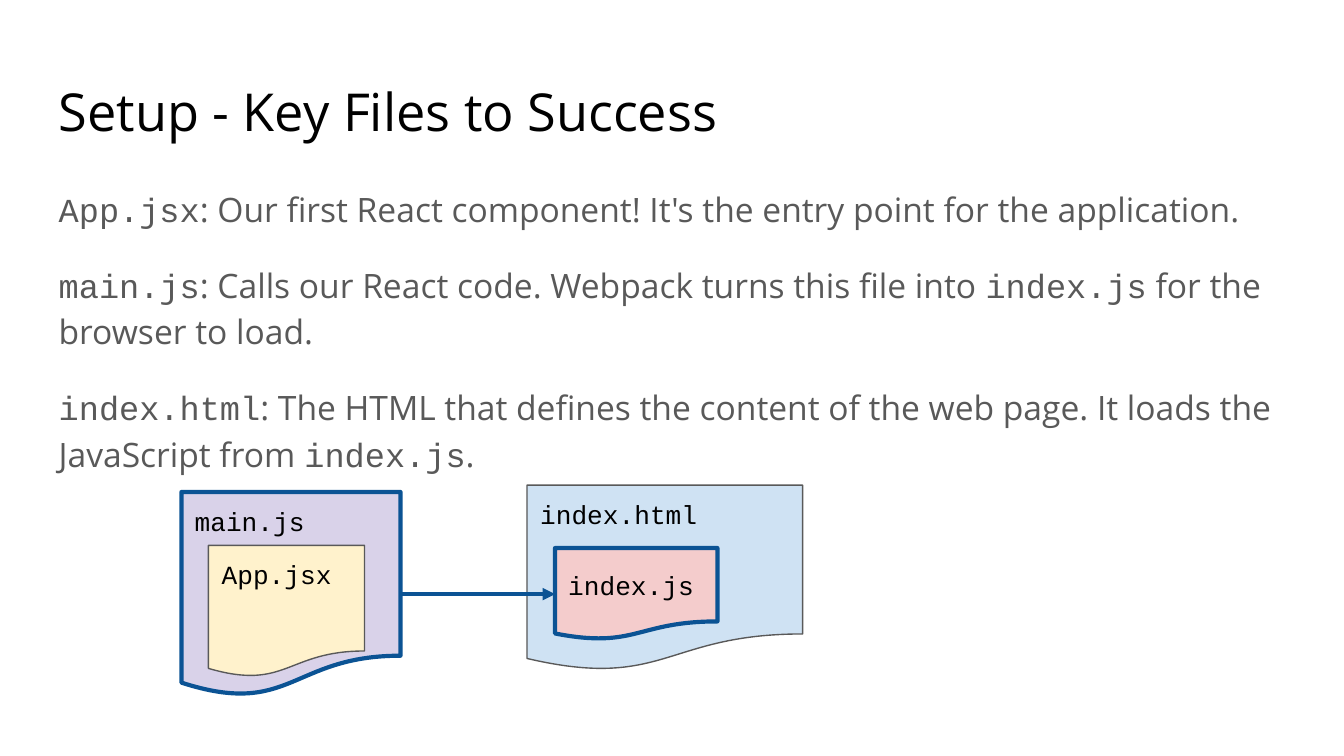
from pptx import Presentation
from pptx.dml.color import RGBColor
from pptx.enum.shapes import MSO_CONNECTOR as Link, MSO_SHAPE as Shape
from pptx.enum.text import MSO_ANCHOR as Anchor, MSO_AUTO_SIZE as Fit, PP_ALIGN as Align
from pptx.oxml.ns import qn
from pptx.util import Cm, Pt
from lxml.etree import SubElement

BLACK = RGBColor(0x00, 0x00, 0x00)
GREY = RGBColor(0x59, 0x59, 0x59)
NAVY = RGBColor(0x0B, 0x53, 0x94)
SKY = RGBColor(0xCF, 0xE2, 0xF3)
ROSE = RGBColor(0xF4, 0xCC, 0xCC)
LILAC = RGBColor(0xD9, 0xD2, 0xE9)
CREAM = RGBColor(0xFF, 0xF2, 0xCC)

SANS, MONO = "Open Sans", "Courier New"
THIN, THICK = 0.75, 2.25
LEFT, WIDTH = 0.86, 23.67

# Code words stand between backticks
NOTES = [
    "`App.jsx`: Our first React component! It's the entry point for the application.",
    "`main.js`: Calls our React code. Webpack turns this file into `index.js`"
    " for the browser to load.",
    "`index.html`: The HTML that defines the content of the web page."
    " It loads the JavaScript from `index.js`.",
]

# Label, left, top, width, height, fill, line colour, line width, anchor
FILES = [
    ("index.html", 9.96, 9.17, 5.21, 3.51, SKY, GREY, THIN, Anchor.TOP),
    ("index.js", 10.49, 10.36, 3.07, 1.73, ROSE, NAVY, THICK, Anchor.MIDDLE),
    ("main.js", 3.43, 9.3, 4.14, 3.86, LILAC, NAVY, THICK, Anchor.TOP),
    ("App.jsx", 3.94, 10.31, 2.95, 2.49, CREAM, GREY, THIN, Anchor.TOP),
]


def set_frame(frame, anchor=Anchor.TOP):
    frame.word_wrap = True
    frame.auto_size = Fit.NONE
    frame.vertical_anchor = anchor
    frame.margin_left = frame.margin_right = Cm(0.25)
    frame.margin_top = frame.margin_bottom = Cm(0.25)


def add_run(para, text, size, face, color):
    para.alignment = Align.LEFT
    run = para.add_run()
    run.text = text
    run.font.size = Pt(size)
    run.font.name = face
    run.font.color.rgb = color


def add_title(slide, text):
    title = slide.shapes.title
    title.left, title.top = Cm(LEFT), Cm(1.24)
    title.width, title.height = Cm(WIDTH), Cm(1.6)
    set_frame(title.text_frame)
    para = title.text_frame.paragraphs[0]
    para.line_spacing = 1.0
    add_run(para, text, 28, SANS, BLACK)


def add_notes(slide, notes):
    box = slide.shapes.add_textbox(Cm(LEFT), Cm(3.2), Cm(WIDTH), Cm(9.5))
    frame = box.text_frame
    set_frame(frame)
    for i, note in enumerate(notes):
        para = frame.add_paragraph() if i else frame.paragraphs[0]
        para.line_spacing = 1.15
        para.space_after = Pt(16)
        for j, part in enumerate(note.split("`")):
            if part:
                add_run(para, part, 18, MONO if j % 2 else SANS, GREY)


def add_file(slide, label, left, top, width, height, fill, edge, weight, anchor):
    page = slide.shapes.add_shape(
        Shape.FLOWCHART_DOCUMENT, Cm(left), Cm(top), Cm(width), Cm(height))
    page.shadow.inherit = False
    page.fill.solid()
    page.fill.fore_color.rgb = fill
    page.line.color.rgb = edge
    page.line.width = Pt(weight)
    set_frame(page.text_frame, anchor)
    add_run(page.text_frame.paragraphs[0], label, 14, MONO, BLACK)
    return page


def add_arrow(slide, start, end):
    arrow = slide.shapes.add_connector(Link.STRAIGHT, 0, 0, 0, 0)
    arrow.begin_connect(start, 3)  # right side
    arrow.end_connect(end, 1)  # left side
    arrow.end_y = arrow.begin_y
    arrow.line.color.rgb = NAVY
    arrow.line.width = Pt(THICK)
    SubElement(arrow.line._get_or_add_ln(), qn("a:tailEnd"), type="triangle")
    SubElement(arrow._element.spPr, qn("a:effectLst"))


def main():
    deck = Presentation()
    deck.slide_width, deck.slide_height = Cm(25.4), Cm(14.29)
    slide = deck.slides.add_slide(deck.slide_layouts[5])

    # Text
    add_title(slide, "Setup - Key Files to Success")
    add_notes(slide, NOTES)

    # File diagram
    pages = {row[0]: add_file(slide, *row) for row in FILES}
    add_arrow(slide, pages["main.js"], pages["index.js"])

    deck.save("out.pptx")


if __name__ == "__main__":
    main()
